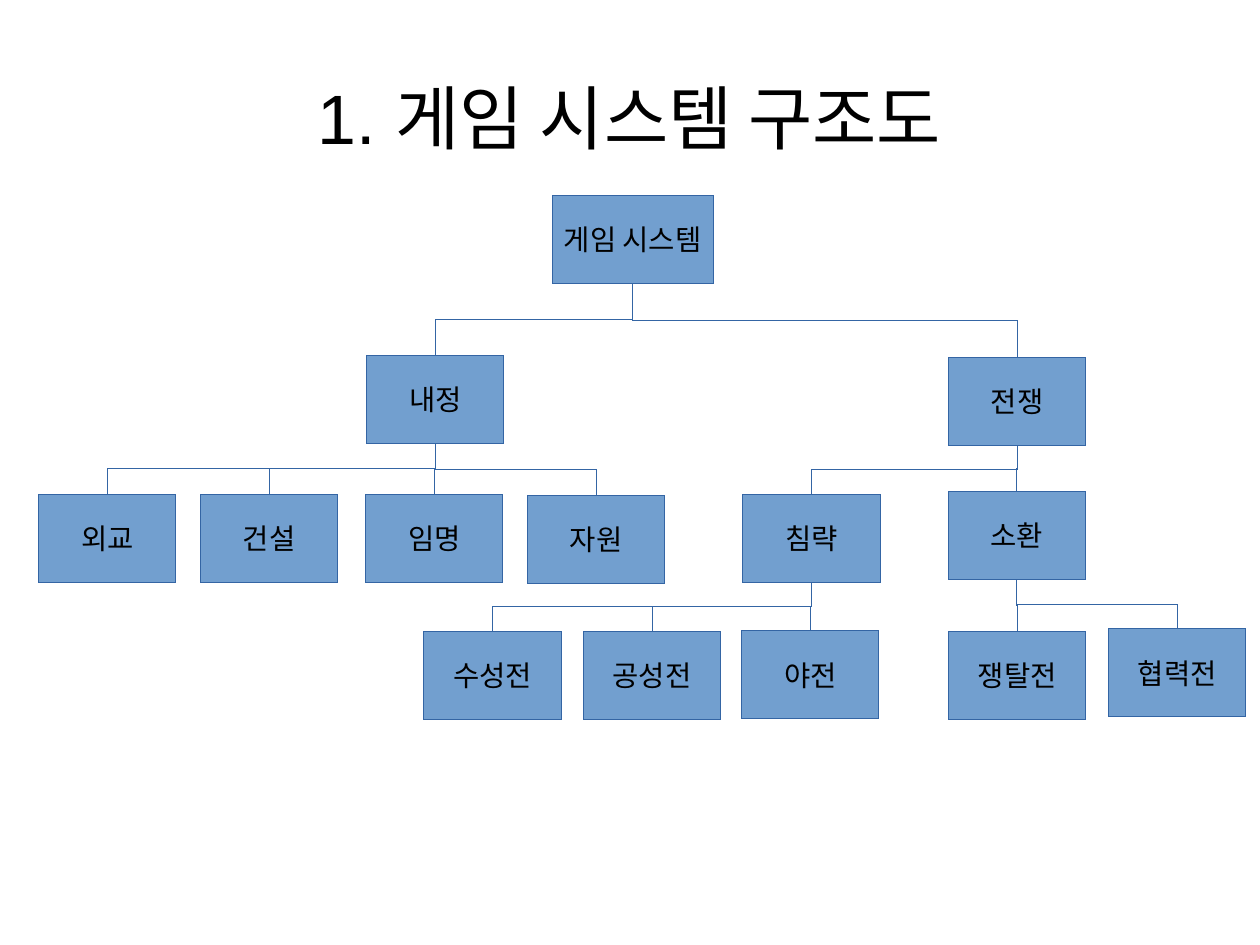
import dataclasses

import pptx
import pptx.dml.color
import pptx.enum.shapes
import pptx.enum.text
import pptx.oxml
import pptx.oxml.ns
import pptx.util


@dataclasses.dataclass(frozen=True)
class Theme:
    font: str = "Arial"
    title_size: int = 44
    node_size: int = 18
    ink: str = "000000"
    node_fill: str = "729FCF"
    edge: str = "3465A4"


@dataclasses.dataclass(frozen=True)
class Node:
    label: str
    center: float  # columns
    top: float  # rows
    children: tuple = ()
    width: float = 12


THEME = Theme()
GRID = pptx.util.Inches(0.1)  # one column or row
NODE_ROWS = 7.7
TITLE_BOX = (5.5, 3.3, 99.2, 13.8)
TREE_BOX = (0, 17.1, 110.2, 46)

# Tops are counted from the top of the tree
INTERIOR = Node("내정", 38.1, 14, (
    Node("외교", 9.4, 26.15),
    Node("건설", 23.55, 26.15),
    Node("임명", 38, 26.15),
    Node("자원", 52.15, 26.25),
))
WAR = Node("전쟁", 89, 14.15, (
    Node("침략", 71, 26.15, (
        Node("수성전", 43.1, 38.15),
        Node("공성전", 57.05, 38.15),
        Node("야전", 70.9, 38.1),
    )),
    Node("소환", 88.95, 25.9, (
        Node("쟁탈전", 89, 38.15),
        Node("협력전", 103, 37.9),
    )),
))
GAME_SYSTEM = Node("게임 시스템", 55.35, 0, (INTERIOR, WAR), width=14.1)


def grid(count):
    return pptx.util.Emu(round(count * GRID))


def color(value):
    return pptx.dml.color.RGBColor.from_string(value)


def write(frame, text, size):
    frame.vertical_anchor = pptx.enum.text.MSO_ANCHOR.MIDDLE
    paragraph = frame.paragraphs[0]
    paragraph.alignment = pptx.enum.text.PP_ALIGN.CENTER
    run = paragraph.add_run()
    run.text = text
    run.font.name = THEME.font
    run.font.size = pptx.util.Pt(size)
    run.font.color.rgb = color(THEME.ink)


def outline(part):
    """Give a node or branch a hairline."""
    part.line.color.rgb = color(THEME.edge)
    # A zero width must be written out, or the style's width applies
    part._element.spPr.find(pptx.oxml.ns.qn("a:ln")).set("w", "0")


def place_title(slide, box, text):
    title = slide.shapes.title
    title.left, title.top, title.width, title.height = map(grid, box)
    frame = title.text_frame
    frame.margin_left = frame.margin_right = 0
    frame.margin_top = frame.margin_bottom = 0
    frame.auto_size = pptx.enum.text.MSO_AUTO_SIZE.NONE
    write(frame, text, THEME.title_size)


def connect(slide, parent, child):
    """Join parent's bottom to child's top with a down-across-down elbow."""
    branch = slide.shapes.add_connector(
        pptx.enum.shapes.MSO_CONNECTOR.ELBOW, 0, 0, 0, 0)
    branch.begin_connect(parent, 2)
    branch.end_connect(child, 0)
    start_x, start_y = branch.begin_x, branch.begin_y
    end_x, end_y = branch.end_x, branch.end_y

    # The elbow leaves sideways, so lay it out on its side and turn it
    across, down = abs(end_x - start_x), end_y - start_y
    branch.left = (start_x + end_x - down) // 2
    branch.top = (start_y + end_y - across) // 2
    branch.width, branch.height = down, across
    properties = branch._element.spPr
    transform = properties.find(pptx.oxml.ns.qn("a:xfrm"))
    for flip in ("flipH", "flipV"):
        transform.attrib.pop(flip, None)
    if end_x > start_x:
        transform.set("rot", "16200000")
        transform.set("flipH", "1")
    else:
        transform.set("rot", "5400000")

    outline(branch)
    properties.append(pptx.oxml.parse_xml(
        f'<a:effectLst {pptx.oxml.ns.nsdecls("a")}/>'))


def draw_tree(slide, box, node):
    """Draw a node and its descendants inside the box; return the node."""
    left, top = box[:2]
    block = slide.shapes.add_shape(
        pptx.enum.shapes.MSO_SHAPE.RECTANGLE,
        grid(left + node.center - node.width / 2), grid(top + node.top),
        grid(node.width), grid(NODE_ROWS))
    block.fill.solid()
    block.fill.fore_color.rgb = color(THEME.node_fill)
    outline(block)
    block.shadow.inherit = False
    block.text_frame.word_wrap = False
    write(block.text_frame, node.label, THEME.node_size)
    for child in node.children:
        connect(slide, block, draw_tree(slide, box, child))
    return block


deck = pptx.Presentation()
deck.slide_width = pptx.util.Cm(28)
deck.slide_height = pptx.util.Cm(21)
structure = deck.slides.add_slide(deck.slide_layouts.get_by_name("Title Only"))
place_title(structure, TITLE_BOX, "1. 게임 시스템 구조도")
draw_tree(structure, TREE_BOX, GAME_SYSTEM)
deck.save("out.pptx")
